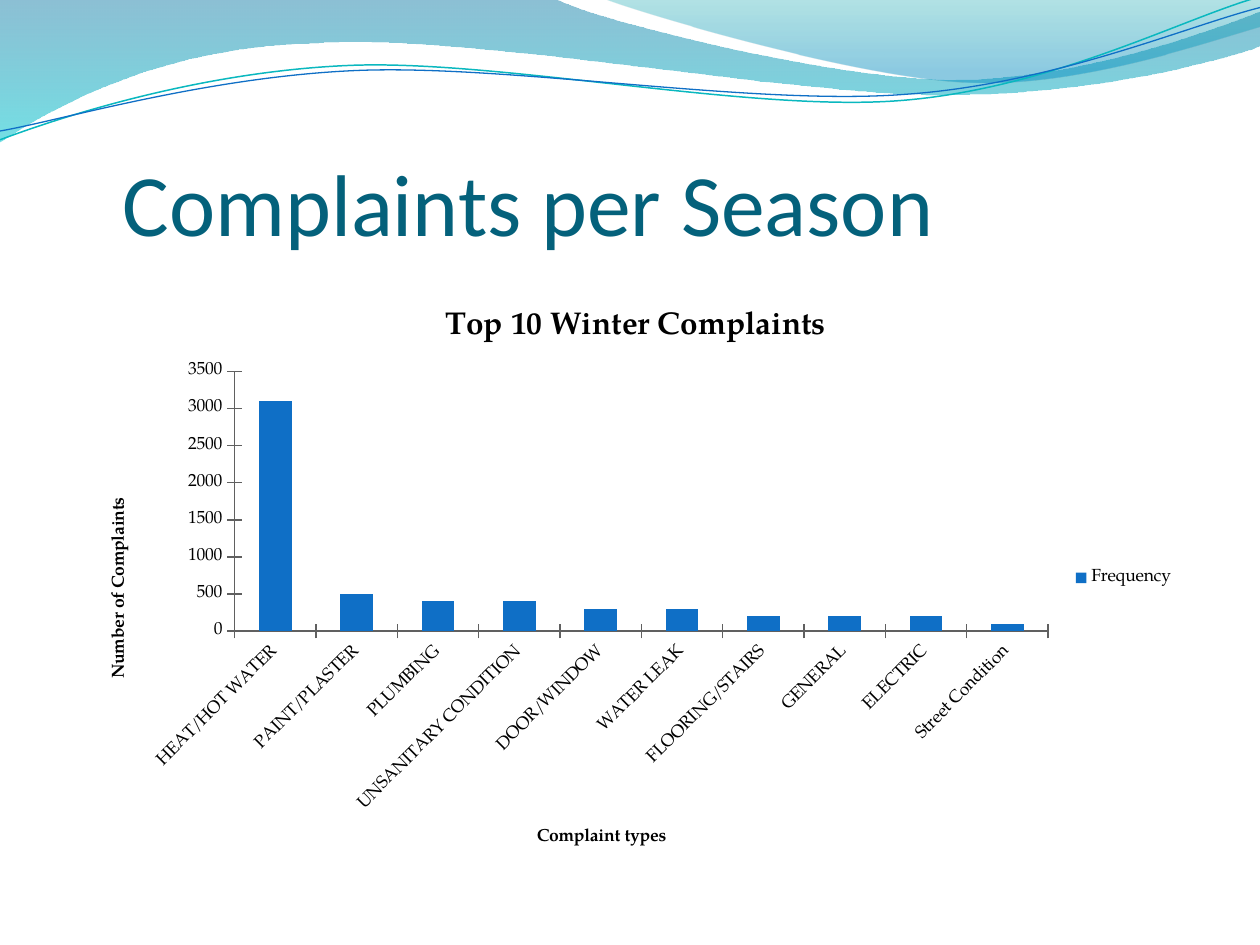
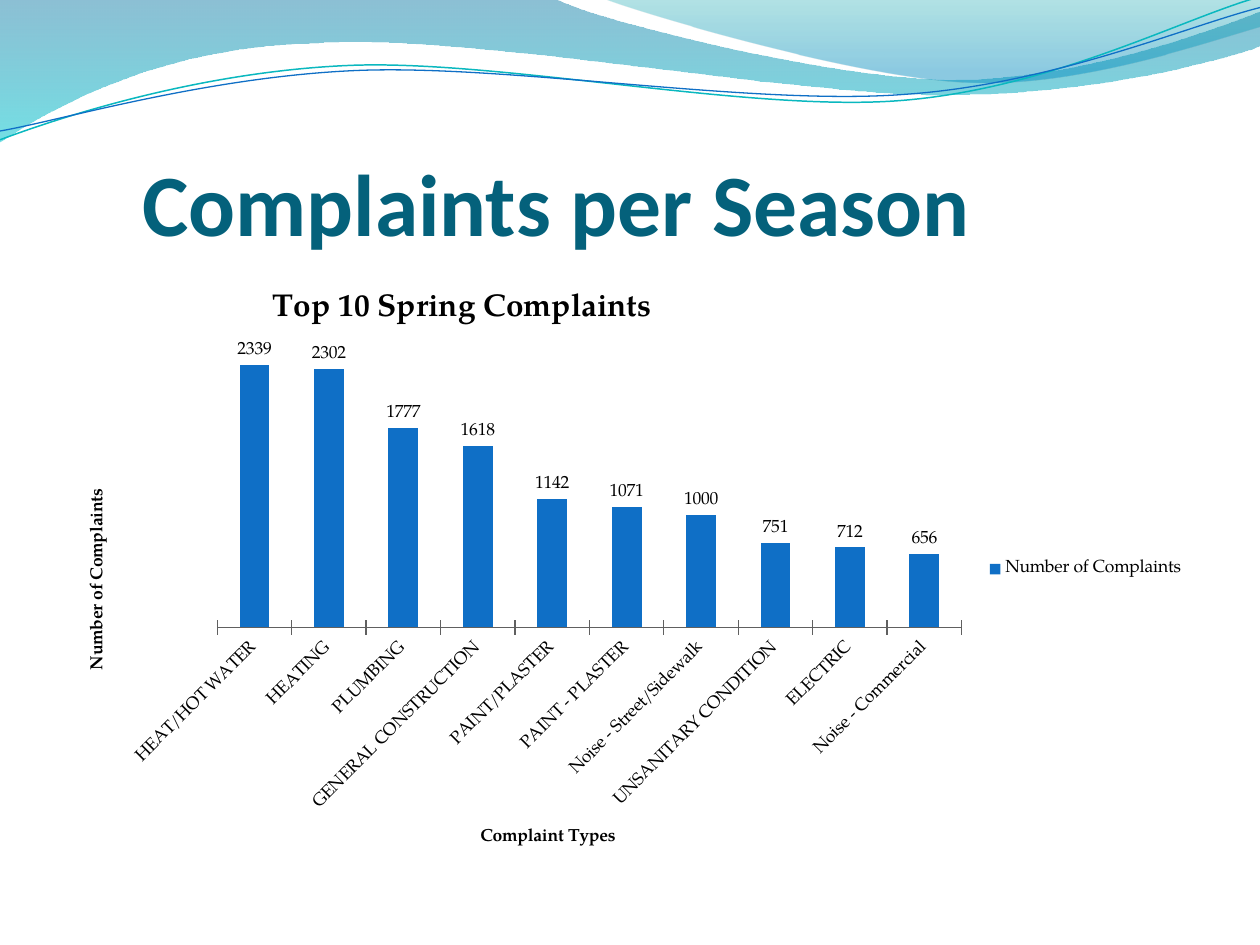
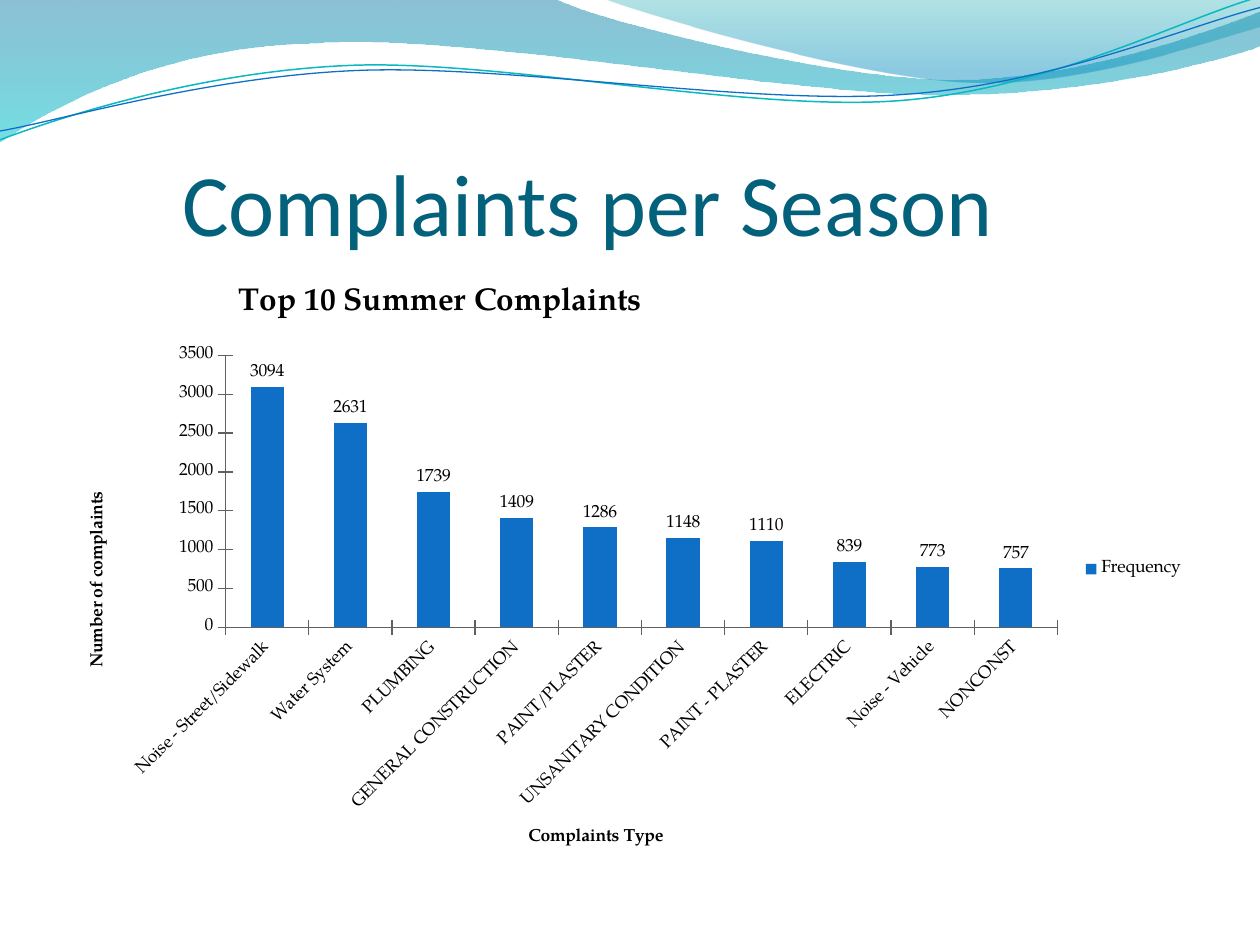
from lxml.etree import SubElement
from pptx import Presentation
from pptx.chart.data import CategoryChartData
from pptx.dml.color import RGBColor
from pptx.enum.chart import XL_CHART_TYPE as ChartType
from pptx.enum.chart import XL_LABEL_POSITION as LabelPosition
from pptx.enum.chart import XL_LEGEND_POSITION as LegendPosition
from pptx.enum.chart import XL_TICK_MARK as TickMark
from pptx.enum.text import MSO_ANCHOR as Anchor
from pptx.oxml.ns import qn
from pptx.util import Cm, Pt

TITLE_TEAL = RGBColor(0x04, 0x61, 0x7B)
BAR_BLUE = RGBColor(0x0F, 0x6F, 0xC6)
WAVE_AQUA = RGBColor(0x0A, 0xB8, 0xBF)
BAND_BLUE = RGBColor(0x00, 0x74, 0xA1)
BAND_CYAN = RGBColor(0x00, 0xC6, 0xCF)
CREST_TEAL = RGBColor(0x00, 0xA1, 0xA9)
CREST_BLUE = RGBColor(0x00, 0x8B, 0xBF)
AXIS_GRAY = RGBColor(0x60, 0x60, 0x60)
BLACK = RGBColor(0, 0, 0)
WHITE = RGBColor(255, 255, 255)
TITLE_FONT = "Calibri"
CHART_FONT = "TeX Gyre Pagella"


def draw_wave(page, points, steps, closed):
    corners = [(Cm(x * 2.54), Cm(y * 2.54)) for x, y in points]
    builder = page.shapes.build_freeform(*corners[0])
    builder.add_line_segments(corners[1:], close=closed)
    wave = builder.convert_to_shape()
    wave.shadow.inherit = False
    outline = wave.element.find(".//" + qn("a:path"))
    lines = iter(outline.findall(qn("a:lnTo")))
    for step in steps:
        line = next(lines)
        if step == "C":
            curve = SubElement(outline, qn("a:cubicBezTo"))
            line.addprevious(curve)
            for control in (line, next(lines), next(lines)):
                curve.append(control[0])
                outline.remove(control)
    return wave


def style_title(title, text, size):
    para = title.text_frame.paragraphs[0]
    span = para.add_run()
    span.text = text
    span.font.name = CHART_FONT
    span.font.size = Pt(size)
    span.font.bold = True
    span.font.color.rgb = BLACK


deck = Presentation()
deck.slide_width = Cm(25.4)
deck.slide_height = Cm(19.05)
blank = deck.slide_layouts[6]
for placeholder in list(blank.placeholders):
    blank.shapes.element.remove(placeholder.element)

bands = [
    ([(0, 0), (4.4, -0.01), (4.76, 0.17), (6.64, 0.63), (7.58, 0.63),
      (8.53, 0.63), (9.58, 0.26), (10, 0.09), (10.01, 0.36),
      (9.83, 0.44), (8.7, 0.76), (7.46, 0.75), (6.22, 0.75), (3.82, 0.28),
      (2.57, 0.34), (1.29, 0.36), (0.46, 0.83), (-0.01, 1.13)],
     "LCCLCCC", [(0, BAND_BLUE, 45), (1, BAND_CYAN, 55)]),
    ([(4.79, -0.01), (5.09, 0.11), (6.82, 0.62), (7.69, 0.65),
      (8.56, 0.69), (9.61, 0.32), (10, 0.21), (10, 0)],
     "CCL", [(0, CREST_TEAL, 30), (0.8, CREST_BLUE, 45)]),
]
ripples = [
    ([(0, 1.11), (0.48, 0.93), (1.58, 0.57), (2.77, 0.52), (3.95, 0.47),
      (5.93, 0.89), (7.13, 0.8), (8.33, 0.71), (9.38, 0.15), (9.98, -0.02)],
     WAVE_AQUA, 0.85),
    ([(0, 1.04), (0.47, 0.96), (1.64, 0.61), (2.83, 0.56), (4.03, 0.51),
      (5.97, 0.84), (7.17, 0.75), (8.36, 0.67), (9.41, 0.21), (10, 0.06)],
     BAR_BLUE, 0.75),
]
seasons = [
    {"season": "Winter", "indent": 1.2, "bold": False,
     "frame": (1.7, 5.72, 22.23, 11.86), "heading": None,
     "category_title": "Complaint types", "value_title": "Number of Complaints",
     "series": "Frequency", "labels": False, "value_axis": True,
     "complaints": [
         ("HEAT/HOT WATER", 3100), ("PAINT/PLASTER", 500), ("PLUMBING", 400),
         ("UNSANITARY CONDITION", 400), ("DOOR/WINDOW", 300), ("WATER LEAK", 300),
         ("FLOORING/STAIRS", 200), ("GENERAL", 200), ("ELECTRIC", 200),
         ("Street Condition", 100)]},
    {"season": "Spring", "indent": 1.6, "bold": True,
     "frame": (1.27, 5.38, 22.86, 12.19), "heading": (0.18, 0.03),
     "category_title": "Complaint Types", "value_title": "Number of Complaints",
     "series": "Number of Complaints", "labels": True, "value_axis": False,
     "complaints": [
         ("HEAT/HOT WATER", 2339), ("HEATING", 2302), ("PLUMBING", 1777),
         ("GENERAL CONSTRUCTION", 1618), ("PAINT/PLASTER", 1142),
         ("PAINT - PLASTER", 1071), ("Noise - Street/Sidewalk", 1000),
         ("UNSANITARY CONDITION", 751), ("ELECTRIC", 712),
         ("Noise - Commercial", 656)]},
    {"season": "Summer", "indent": 2.4, "bold": False,
     "frame": (1.27, 5.38, 22.86, 12.19), "heading": (0.15, 0.02),
     "category_title": "Complaints Type", "value_title": "Number of complaints",
     "series": "Frequency", "labels": True, "value_axis": True,
     "complaints": [
         ("Noise - Street/Sidewalk", 3094), ("Water System", 2631),
         ("PLUMBING", 1739), ("GENERAL CONSTRUCTION", 1409),
         ("PAINT/PLASTER", 1286), ("UNSANITARY CONDITION", 1148),
         ("PAINT - PLASTER", 1110), ("ELECTRIC", 839), ("Noise - Vehicle", 773),
         ("NONCONST", 757)]},
]
pages = [deck.slides.add_slide(blank) for season in seasons]

waves = []
for points, steps, stops in bands:
    band = draw_wave(pages[0], points, steps, True)
    band.line.fill.background()
    band.fill.gradient()
    band.fill.gradient_angle = 270
    for stop, (position, color, opacity) in zip(band.fill.gradient_stops, stops):
        stop.position = position
        stop.color.rgb = color
    for tint, (position, color, opacity) in zip(band.element.iter(qn("a:srgbClr")), stops):
        SubElement(tint, qn("a:alpha")).set("val", str(opacity * 1000))
    waves.append(band)
for points, color, width in ripples:
    ripple = draw_wave(pages[0], points, "CCC", False)
    ripple.fill.background()
    ripple.line.color.rgb = color
    ripple.line.width = Pt(width)
    waves.append(ripple)
for wave in waves:
    blank.shapes.element.append(wave.element)

for page, season in zip(pages, seasons):
    box = page.shapes.add_textbox(Cm(1.27), Cm(1.96), Cm(22.86), Cm(3.17))
    frame = box.text_frame
    frame.word_wrap = True
    frame.vertical_anchor = Anchor.BOTTOM
    frame.margin_left = Cm(season["indent"])
    frame.margin_top = Cm(0.13)
    frame.margin_right = frame.margin_bottom = 0
    span = frame.paragraphs[0].add_run()
    span.text = "Complaints per Season"
    span.font.name = TITLE_FONT
    span.font.size = Pt(50)
    span.font.bold = season["bold"]
    span.font.color.rgb = TITLE_TEAL

    table = CategoryChartData()
    table.categories = [name for name, count in season["complaints"]]
    table.add_series(season["series"], [count for name, count in season["complaints"]])
    place = [Cm(length) for length in season["frame"]]
    chart = page.shapes.add_chart(ChartType.COLUMN_CLUSTERED, *place, table).chart
    chart.font.name = CHART_FONT
    chart.font.size = Pt(10)
    chart.font.color.rgb = BLACK

    style_title(chart.chart_title, f"Top 10 {season['season']} Complaints", 18)
    if season["heading"]:
        layout = chart.chart_title.element.find(qn("c:layout"))
        manual = SubElement(layout, qn("c:manualLayout"))
        for tag in ("xMode", "yMode"):
            SubElement(manual, qn("c:" + tag)).set("val", "edge")
        for tag, share in zip("xy", season["heading"]):
            SubElement(manual, qn("c:" + tag)).set("val", str(share))

    chart.has_legend = True
    chart.legend.position = LegendPosition.RIGHT
    chart.legend.include_in_layout = False

    style_title(chart.category_axis.axis_title, season["category_title"], 10)
    style_title(chart.value_axis.axis_title, season["value_title"], 10)
    for axis in (chart.category_axis, chart.value_axis):
        axis.major_tick_mark = TickMark.CROSS
        axis.format.line.color.rgb = AXIS_GRAY
        axis.format.line.width = Pt(0.75)
        axis.tick_labels.font.size = Pt(10)
    slant = chart.element.find(".//" + "/".join(qn(tag) for tag in ("c:catAx", "c:txPr", "a:bodyPr")))
    slant.set("rot", "-2700000")
    chart.value_axis.visible = season["value_axis"]
    grid = chart.value_axis.major_gridlines.format.line
    grid.color.rgb = WHITE
    grid.width = Pt(0.75)

    plot = chart.plots[0]
    plot.gap_width = 150
    plot.vary_by_categories = False
    bars = plot.series[0].format.fill
    bars.solid()
    bars.fore_color.rgb = BAR_BLUE
    if season["labels"]:
        plot.has_data_labels = True
        plot.data_labels.show_value = True
        plot.data_labels.position = LabelPosition.OUTSIDE_END

deck.save("out.pptx")
